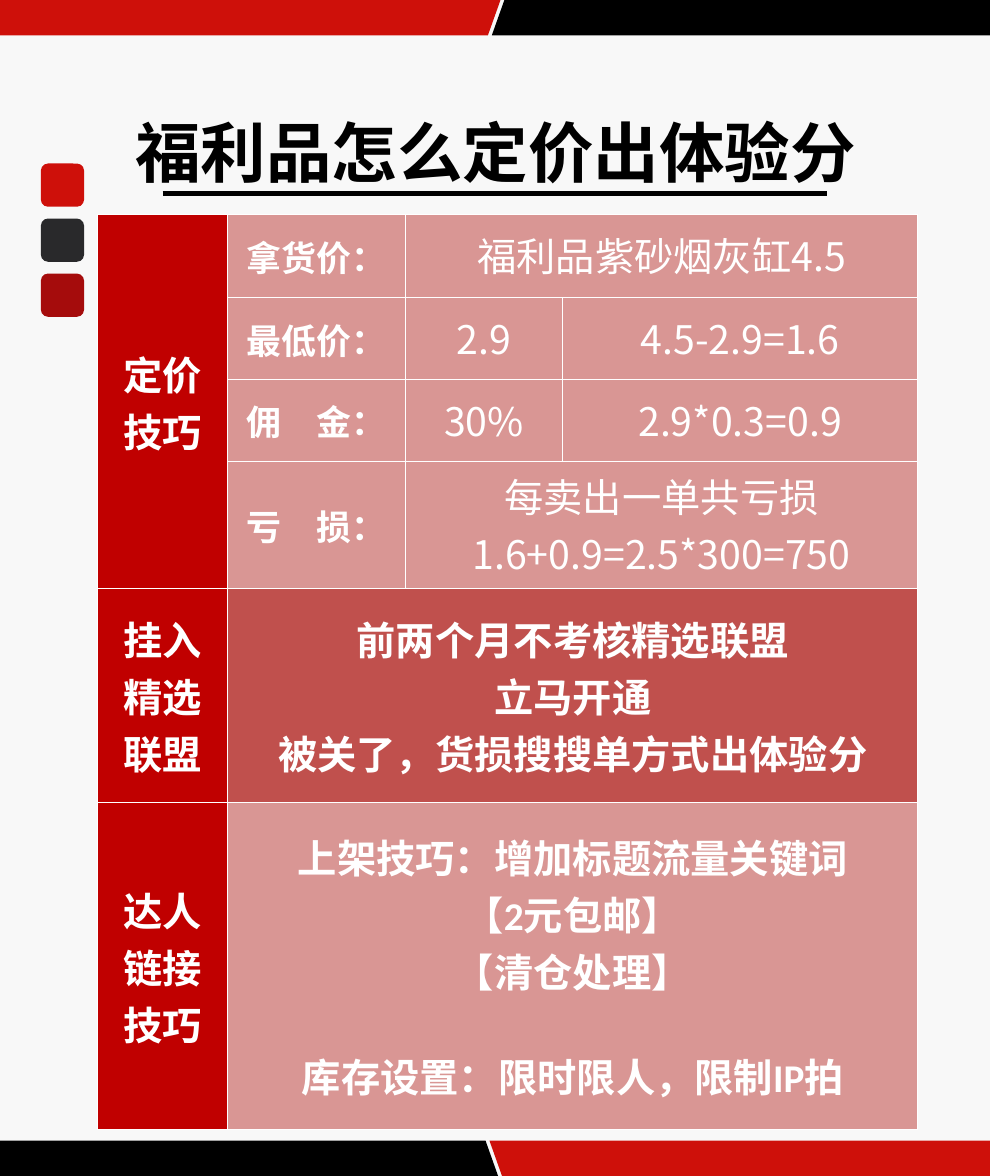
from dataclasses import dataclass

import pptx
import pptx.dml.color
import pptx.enum.shapes
import pptx.enum.text
import pptx.oxml
import pptx.oxml.ns
import pptx.util
from lxml import etree

Inches = pptx.util.Inches
Pt = pptx.util.Pt
qn = pptx.oxml.ns.qn

WIDTH, HEIGHT = 12.6, 14.96
BAR_HEIGHT = 0.45
CJK_FONT = "Noto Sans CJK SC"
COLORS = {
    "red": "CE100A",
    "dark_red": "A50C0C",
    "charcoal": "29292B",
    "black": "000000",
    "white": "FFFFFF",
    "backdrop": "F2F2F2",
    "heading": "C00000",
    "pink": "D99694",
    "brick": "C0504D",
}

# Text formats
TITLE = {"name": CJK_FONT, "size": Pt(60), "bold": True}
HEADING = {"name": "Calibri", "size": Pt(36), "bold": True}
LABEL = {"name": "Calibri", "size": Pt(32), "bold": True}
VALUE = {"name": CJK_FONT, "size": Pt(36), "bold": False}

# Cell insets
WIDE = {"margin_left": Inches(0.1), "margin_right": Inches(0.1),
        "margin_top": Inches(0.05), "margin_bottom": Inches(0.05)}
NARROW = {"margin_left": Inches(0.01), "margin_right": Inches(0.01),
          "margin_top": Inches(0.01), "margin_bottom": Inches(0.05)}


@dataclass
class Bar:
    color: str
    edge: float
    top_x: float
    bottom_x: float


@dataclass
class Entry:
    row: int
    col: int
    lines: list[str]
    font: dict
    fill: str = "pink"
    rows: int = 1
    cols: int = 1


BARS = [Bar("red", 0, 6.37, 6.21), Bar("black", WIDTH, 6.42, 6.26)]
SQUARES = ["red", "charcoal", "dark_red"]
COL_WIDTHS = [1.66, 2.26, 2, 4.52]
ROW_HEIGHTS = [1.06, 1.04, 1.04, 1.62, 2.72, 4.16]
GAP_BEFORE = {"库存设置：限时限人，限制IP拍": Pt(44)}
ENTRIES = [
    Entry(0, 0, ["定价技巧"], HEADING, "heading", rows=4),
    Entry(0, 1, ["拿货价："], LABEL),
    Entry(0, 2, ["福利品紫砂烟灰缸4.5"], VALUE, cols=2),
    Entry(1, 1, ["最低价："], LABEL),
    Entry(1, 2, ["2.9"], VALUE),
    Entry(1, 3, ["4.5-2.9=1.6"], VALUE),
    Entry(2, 1, ["佣　金："], LABEL),
    Entry(2, 2, ["30%"], VALUE),
    Entry(2, 3, ["2.9*0.3=0.9"], VALUE),
    Entry(3, 1, ["亏　损："], LABEL),
    Entry(3, 2, ["每卖出一单共亏损1.6+0.9=2.5*300=750"], VALUE, cols=2),
    Entry(4, 0, ["挂入精选联盟"], HEADING, "heading"),
    Entry(4, 1, ["前两个月不考核精选联盟", "立马开通",
                 "被关了，货损搜搜单方式出体验分"], HEADING, "brick", cols=3),
    Entry(5, 0, ["达人链接技巧"], HEADING, "heading"),
    Entry(5, 1, ["上架技巧：增加标题流量关键词", "【2元包邮】", "【清仓处理】",
                 "库存设置：限时限人，限制IP拍"], HEADING, cols=3),
]


def rgb(color: str) -> pptx.dml.color.RGBColor:
    return pptx.dml.color.RGBColor.from_string(COLORS[color])


def apply(target, values: dict) -> None:
    for name, value in values.items():
        setattr(target, name, value)


def paint(sp, color: str) -> None:
    sp.shadow.inherit = False
    sp.fill.solid()
    sp.fill.fore_color.rgb = rgb(color)
    sp.line.fill.background()


def write(tf, lines: list[str], font: dict, color: str) -> None:
    tf.word_wrap = True
    for i, line in enumerate(lines):
        p = tf.paragraphs[0] if i == 0 else tf.add_paragraph()
        p.alignment = pptx.enum.text.PP_ALIGN.CENTER
        if line in GAP_BEFORE:
            p.space_before = GAP_BEFORE[line]
        r = p.add_run()
        r.text = line
        apply(r.font, font)
        r.font.color.rgb = rgb(color)
        etree.SubElement(r.font._element, qn("a:ea"), typeface=CJK_FONT)


def add_backdrop(s) -> None:
    sp = s.shapes.add_shape(pptx.enum.shapes.MSO_SHAPE.RECTANGLE, 0, 0,
                            Inches(WIDTH), Inches(HEIGHT))
    paint(sp, "backdrop")
    color = sp._element.spPr.find(qn("a:solidFill"))[0]
    etree.SubElement(color, qn("a:alpha"), val="50000")


def add_bar(s, bar: Bar, top: float, mirrored: bool) -> None:
    corners = [(bar.edge, 0), (bar.top_x, 0),
               (bar.bottom_x, BAR_HEIGHT), (bar.edge, BAR_HEIGHT)]
    points = [(Inches(WIDTH - x if mirrored else x), Inches(top + y))
              for x, y in corners]
    builder = s.shapes.build_freeform(*points[0])
    builder.add_line_segments(points[1:], close=True)
    paint(builder.convert_to_shape(), bar.color)


def add_square(s, index: int, color: str) -> None:
    sp = s.shapes.add_shape(
        pptx.enum.shapes.MSO_SHAPE.ROUNDED_RECTANGLE, Inches(0.52),
        Inches(2.08 + 0.7 * index), Inches(0.55), Inches(0.55))
    paint(sp, color)


def add_title(s) -> None:
    sp = s.shapes.add_textbox(Inches(1.57), Inches(1.37), Inches(9.47), Inches(1.11))
    write(sp.text_frame, ["福利品怎么定价出体验分"], TITLE, "black")
    line = s.shapes.add_connector(
        pptx.enum.shapes.MSO_CONNECTOR.STRAIGHT,
        Inches(2.07), Inches(2.46), Inches(10.53), Inches(2.46))
    line.line.color.rgb = rgb("black")
    line.line.width = Pt(5)
    etree.SubElement(line._element.spPr, qn("a:effectLst"))


def style_cell(cell, fill: str) -> None:
    tc_pr = cell._tc.get_or_add_tcPr()
    for side in ("L", "R", "T", "B"):
        border = etree.SubElement(tc_pr, qn(f"a:ln{side}"), w=str(Pt(1)))
        solid = etree.SubElement(border, qn("a:solidFill"))
        etree.SubElement(solid, qn("a:srgbClr"), val=COLORS["white"])
    cell.fill.solid()
    cell.fill.fore_color.rgb = rgb(fill)


def add_pricing_table(s) -> None:
    table = s.shapes.add_table(
        len(ROW_HEIGHTS), len(COL_WIDTHS), Inches(1.24), Inches(2.73),
        Inches(sum(COL_WIDTHS)), Inches(sum(ROW_HEIGHTS))).table
    apply(table, {"first_row": False, "horz_banding": False})
    for column, width in zip(table.columns, COL_WIDTHS):
        column.width = Inches(width)
    for row, height in zip(table.rows, ROW_HEIGHTS):
        row.height = Inches(height)
    for entry in ENTRIES:
        last_row, last_col = entry.row + entry.rows, entry.col + entry.cols
        for row in range(entry.row, last_row):
            for col in range(entry.col, last_col):
                style_cell(table.cell(row, col), entry.fill)
        cell = table.cell(entry.row, entry.col)
        if entry.rows * entry.cols > 1:
            cell.merge(table.cell(last_row - 1, last_col - 1))
        apply(cell, NARROW if entry.font is VALUE else WIDE)
        cell.vertical_anchor = pptx.enum.text.MSO_ANCHOR.MIDDLE
        write(cell.text_frame, entry.lines, entry.font, "white")


def main() -> None:
    prs = pptx.Presentation()
    prs.slide_width, prs.slide_height = Inches(WIDTH), Inches(HEIGHT)
    s = prs.slides.add_slide(prs.slide_layouts[6])

    # Backdrop and bars
    add_backdrop(s)
    for top, mirrored in ((0, False), (HEIGHT - BAR_HEIGHT, True)):
        for bar in BARS:
            add_bar(s, bar, top, mirrored)
    for index, color in enumerate(SQUARES):
        add_square(s, index, color)

    # Title and table
    add_title(s)
    add_pricing_table(s)
    prs.save("out.pptx")


if __name__ == "__main__":
    main()
